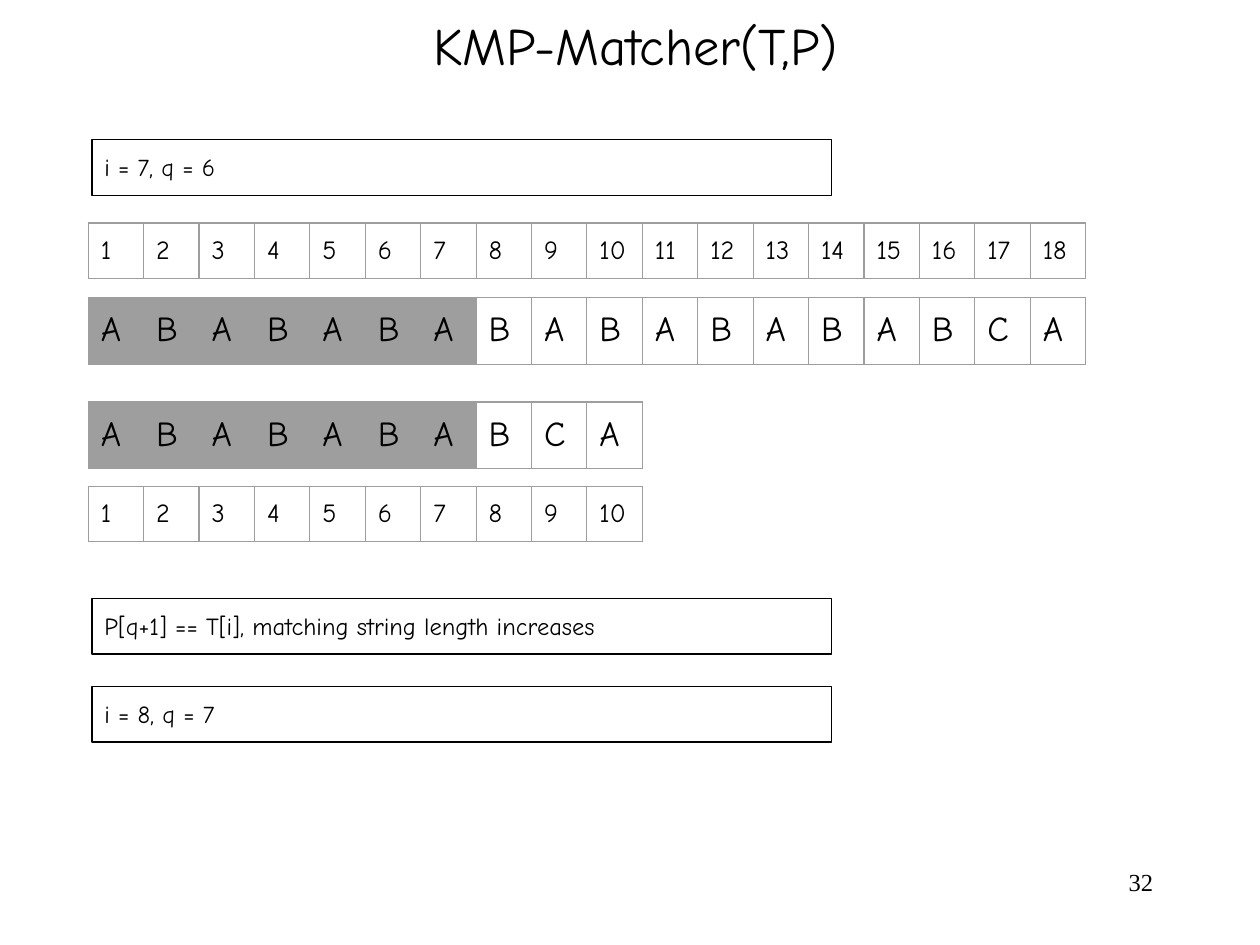
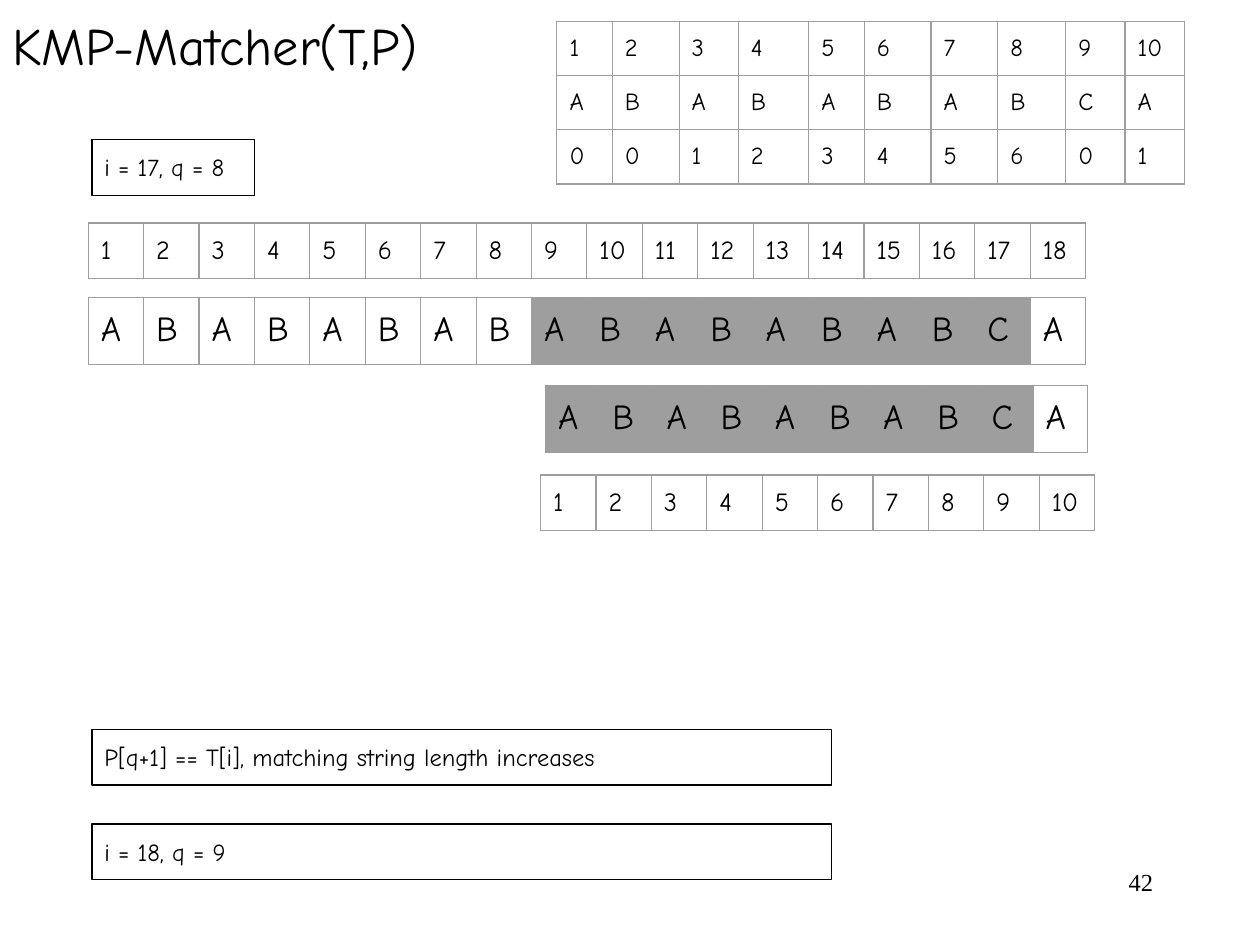
"""Build two slides that trace the KMP matcher over a text and a pattern."""
from dataclasses import dataclass

from lxml import etree
from pptx import Presentation
from pptx.dml.color import RGBColor
from pptx.enum.shapes import MSO_SHAPE
from pptx.enum.text import MSO_ANCHOR, MSO_AUTO_SIZE, PP_ALIGN
from pptx.oxml.ns import qn
from pptx.util import Inches, Pt

RECT = MSO_SHAPE.RECTANGLE
TOP, NO_FIT = MSO_ANCHOR.TOP, MSO_AUTO_SIZE.NONE
LEFT, CENTER, RIGHT = PP_ALIGN.LEFT, PP_ALIGN.CENTER, PP_ALIGN.RIGHT


@dataclass(frozen=True)
class Theme:
    ink: str = "000000"
    grey: str = "9E9E9E"
    font: str = "Comic Neue"
    number_font: str = "Times New Roman"
    title_size: int = 30
    letter_size: int = 20
    index_size: int = 15
    note_size: int = 14
    line: float = 0.75
    cell: float = 0.44
    index_height: float = 0.44
    letter_height: float = 0.53


theme = Theme()


def write(tf, text, size, align=LEFT, font=theme.font, pad=0.1):
    """Put one formatted run into a text frame."""
    tf.word_wrap = True
    tf.auto_size = NO_FIT
    tf.vertical_anchor = TOP
    tf.margin_left = tf.margin_right = Inches(0.1)
    tf.margin_top = tf.margin_bottom = Inches(pad)
    p = tf.paragraphs[0]
    p.alignment = align
    r = p.add_run()
    r.text = text
    r.font.name = font
    r.font.size = Pt(size)
    r.font.color.rgb = RGBColor.from_string(theme.ink)


def add_grid(s, left, top, rows, widths, height, size, shaded=()):
    """Add a grey-ruled table, filling the shaded columns."""
    table = s.shapes.add_table(len(rows), len(widths), Inches(left), Inches(top),
                               Inches(sum(widths)), Inches(height * len(rows))).table
    table.first_row = table.horz_banding = False
    for column, width in zip(table.columns, widths):
        column.width = Inches(width)
    for y, row in enumerate(rows):
        table.rows[y].height = Inches(height)
        for x, value in enumerate(row):
            cell = table.cell(y, x)
            cell.margin_left = cell.margin_right = Inches(0.1)
            cell.margin_top = cell.margin_bottom = Inches(0.1)
            r = cell.text_frame.paragraphs[0].add_run()
            r.text = str(value)
            r.font.name = theme.font
            r.font.size = Pt(size)
            r.font.color.rgb = RGBColor.from_string(theme.ink)
            if x in shaded:
                cell.fill.solid()
                cell.fill.fore_color.rgb = RGBColor.from_string(theme.grey)
            else:
                cell.fill.background()
            tc_pr = cell._tc.get_or_add_tcPr()
            for i, side in enumerate(("a:lnL", "a:lnR", "a:lnT", "a:lnB")):
                ln = etree.Element(qn(side), w=str(Pt(theme.line)))
                fill = etree.SubElement(ln, qn("a:solidFill"))
                etree.SubElement(fill, qn("a:srgbClr"), val=theme.grey)
                tc_pr.insert(i, ln)


TEXT = "ABABABABABABABABCA"
PATTERN = "ABABABABCA"
PREFIX = [0, 0, 1, 2, 3, 4, 5, 6, 0, 1]
PREFIX_WIDTHS = [0.44, 0.53, 0.47, 0.56, 0.44, 0.53, 0.53, 0.54, 0.47, 0.47]
MATCH = "P[q+1] == T[i], matching string length increases"
text_index = range(1, len(TEXT) + 1)
pattern_index = range(1, len(PATTERN) + 1)

steps = [
    dict(number="32", title_width=10.09, title_align=CENTER,
         notes=[("i = 7, q = 6", 1.11, 5.87), (MATCH, 4.75, 5.87), ("i = 8, q = 7", 5.45, 5.87)],
         text_match=range(7), pattern_match=range(7),
         pattern_at=(0.7, 3.19), pattern_cell=theme.cell, index_at=(0.7, 3.86), prefix=False),
    dict(number="42", title_width=3.98, title_align=LEFT,
         notes=[("i = 17, q = 8", 1.11, 1.29), (MATCH, 5.79, 5.87), ("i = 18, q = 9", 6.54, 5.87)],
         text_match=range(8, 17), pattern_match=range(9),
         pattern_at=(4.33, 3.06), pattern_cell=0.43, index_at=(4.29, 3.77), prefix=True),
]

prs = Presentation()
prs.slide_width, prs.slide_height = Inches(10), Inches(7.5)

for step in steps:
    s = prs.slides.add_slide(prs.slide_layouts[5])

    title = s.shapes.title
    title.left, title.top = Inches(0), Inches(0)
    title.width, title.height = Inches(step["title_width"]), Inches(0.71)
    write(title.text_frame, "KMP-Matcher(T,P)", theme.title_size, step["title_align"])

    number = s.shapes.add_textbox(Inches(7.17), Inches(6.83), Inches(2.08), Inches(0.5))
    write(number.text_frame, step["number"], theme.note_size, RIGHT, theme.number_font, 0.05)

    for text, top, width in step["notes"]:
        sp = s.shapes.add_shape(RECT, Inches(0.73), Inches(top), Inches(width), Inches(0.44))
        sp.shadow.inherit = False
        sp.fill.background()
        sp.line.color.rgb = RGBColor.from_string(theme.ink)
        sp.line.width = Pt(theme.line)
        write(sp.text_frame, text, theme.note_size)

    text_widths = [theme.cell] * len(TEXT)
    add_grid(s, 0.7, 1.77, [text_index], text_widths, theme.index_height, theme.index_size)
    add_grid(s, 0.7, 2.36, [TEXT], text_widths, theme.letter_height, theme.letter_size,
             step["text_match"])
    add_grid(s, *step["pattern_at"], [PATTERN], [step["pattern_cell"]] * len(PATTERN),
             theme.letter_height, theme.letter_size, step["pattern_match"])
    add_grid(s, *step["index_at"], [pattern_index], [theme.cell] * len(PATTERN),
             theme.index_height, theme.index_size)
    if step["prefix"]:
        add_grid(s, 4.42, 0.17, [pattern_index, PATTERN, PREFIX], PREFIX_WIDTHS,
                 0.43, theme.note_size)

prs.save("out.pptx")
